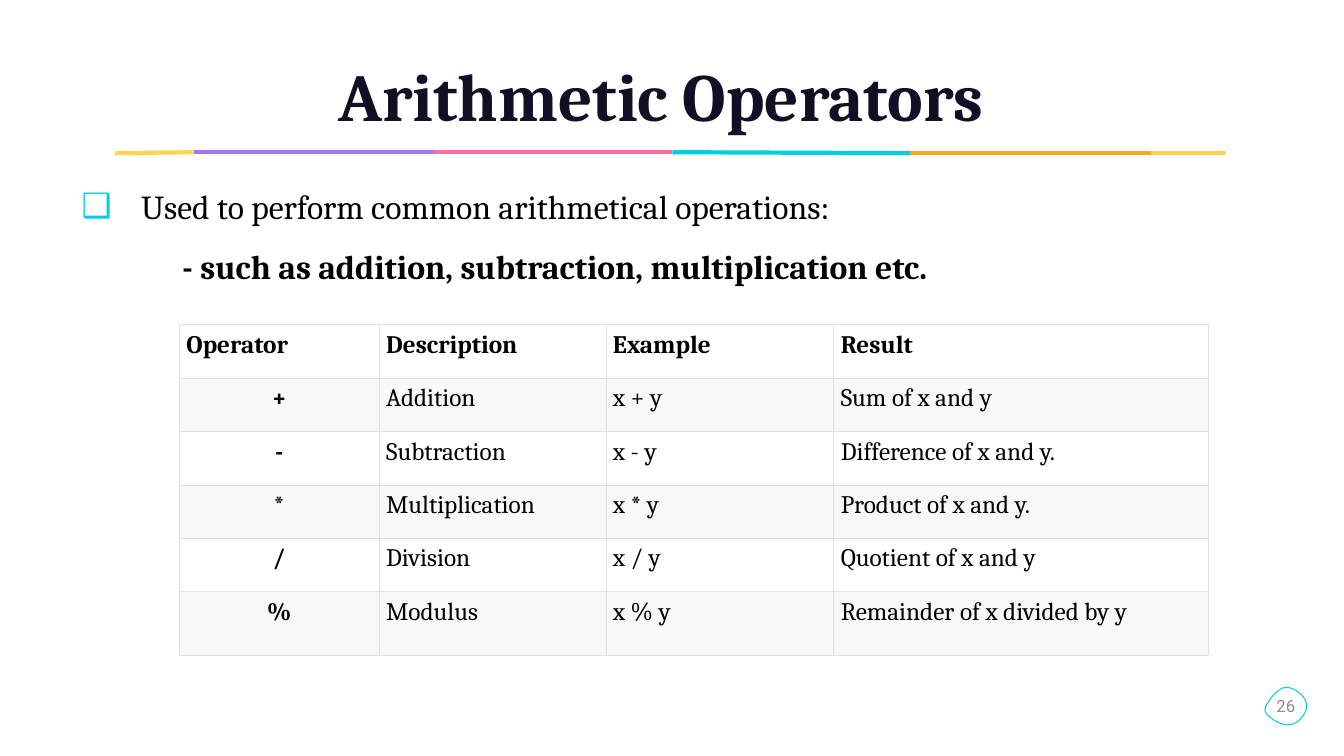
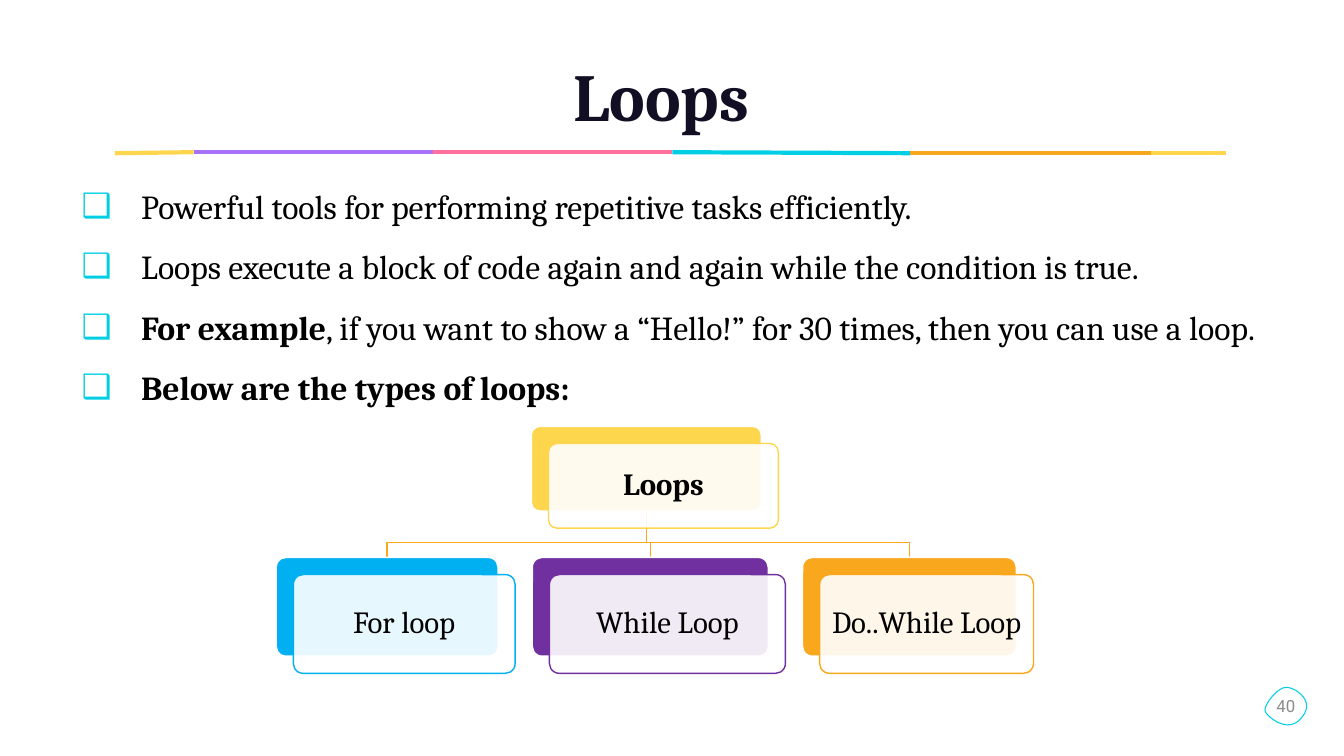
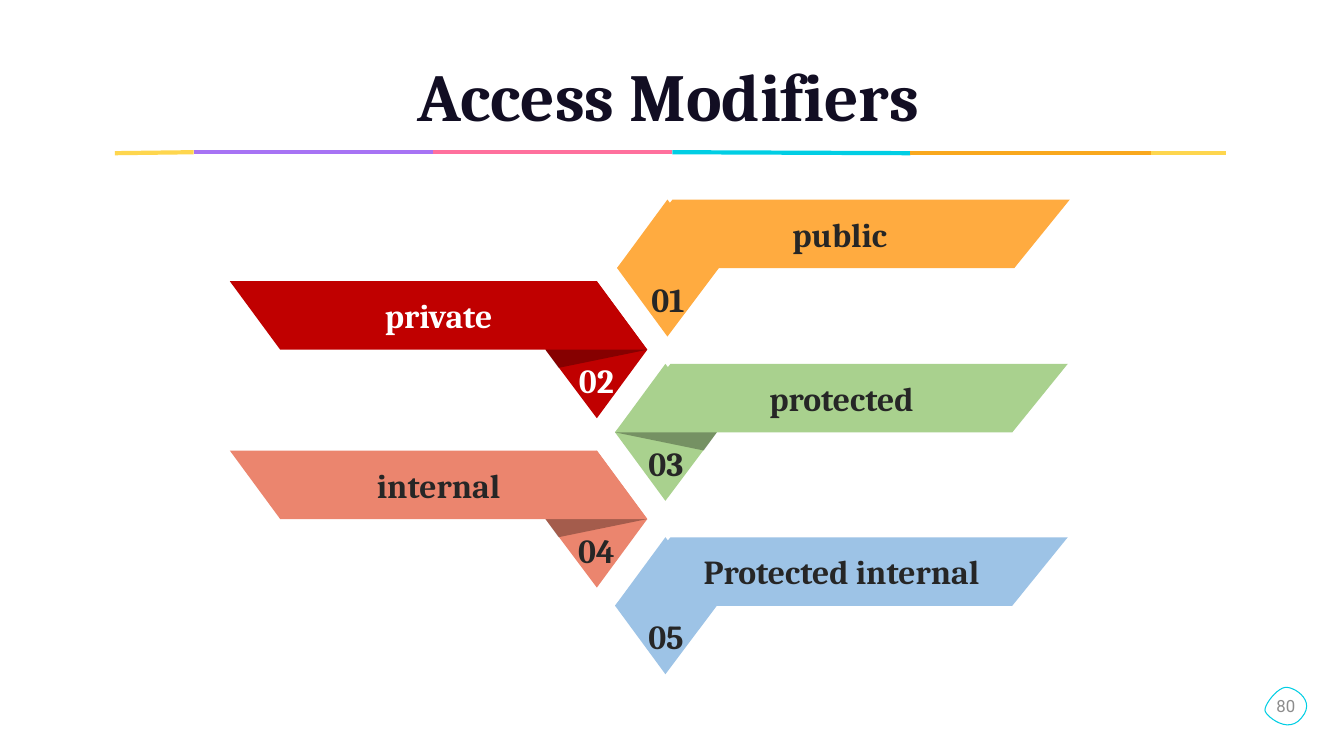
"""Build three C# lesson slides: operators, loops and access modifiers."""
from pptx import Presentation
from pptx.dml.color import RGBColor
from pptx.enum.shapes import MSO_CONNECTOR, MSO_SHAPE
from pptx.enum.text import MSO_ANCHOR, MSO_AUTO_SIZE, PP_ALIGN
from pptx.oxml.ns import qn
from pptx.util import Inches, Pt
from lxml.etree import SubElement

WHITE = RGBColor(0xFF, 0xFF, 0xFF)
BLACK = RGBColor(0x00, 0x00, 0x00)
NAVY = RGBColor(0x12, 0x0E, 0x23)
CHARCOAL = RGBColor(0x26, 0x26, 0x26)
GRAY = RGBColor(0x8C, 0x8C, 0x8C)
BAND = RGBColor(0xF8, 0xF8, 0xF8)
BORDER = RGBColor(0xDE, 0xE2, 0xE6)
YELLOW = RGBColor(0xFE, 0xD6, 0x4E)
VIOLET = RGBColor(0xA7, 0x73, 0xF4)
PINK = RGBColor(0xFF, 0x70, 0x9D)
CYAN = RGBColor(0x00, 0xCE, 0xE4)
ORANGE = RGBColor(0xF9, 0xA8, 0x1D)
BLUE = RGBColor(0x00, 0xB0, 0xF0)
PURPLE = RGBColor(0x70, 0x30, 0xA0)
RED = RGBColor(0xC0, 0x00, 0x00)
AMBER = RGBColor(0xFF, 0xAB, 0x40)
GREEN = RGBColor(0xA9, 0xD1, 0x8E)
CORAL = RGBColor(0xEB, 0x85, 0x6E)
SKY = RGBColor(0x9D, 0xC3, 0xE6)

TITLE_BODY, TITLE_ONLY = 1, 5

RULE_POINTS = [(1.14, 1.52), (1.92, 1.51), (4.29, 1.51), (6.67, 1.51),
               (9.03, 1.52), (11.42, 1.52), (12.16, 1.52)]
RULE_COLORS = [YELLOW, VIOLET, PINK, CYAN, ORANGE, YELLOW]

BADGE_START = (12.77, 6.82)
BADGE_CURVES = [((12.86, 6.83), (13.05, 6.96), (12.91, 7.12)),
                ((12.78, 7.29), (12.57, 7.11), (12.55, 7.06)),
                ((12.52, 7.01), (12.68, 6.8), BADGE_START)]

OPERATORS = [
    ("Operator", "Description", "Example", "Result"),
    ("+", "Addition", "x + y", "Sum of x and y"),
    ("-", "Subtraction", "x - y", "Difference of x and y."),
    ("*", "Multiplication", "x * y", "Product of x and y."),
    ("/", "Division", "x / y", "Quotient of x and y"),
    ("%", "Modulus", "x % y", "Remainder of x divided by y"),
]

LOOP_TYPES = [("For loop", BLUE, 2.74, 2.2, 3.84),
              ("While Loop", PURPLE, 5.28, 2.34, 6.45),
              ("Do..While Loop", ORANGE, 7.96, 2.12, 9.02)]

MODIFIERS = [("01", "public ", AMBER, CHARCOAL, 6.12, 1.98, 1, False),
             ("02", "private", RED, WHITE, 6.42, 2.79, -1, True),
             ("03", "protected", GREEN, CHARCOAL, 6.1, 3.61, 1, True),
             ("04", "internal", CORAL, CHARCOAL, 6.42, 4.47, -1, True),
             ("05", "Protected internal", SKY, CHARCOAL, 6.1, 5.33, 1, False)]


def add_run(p, text, size, color, bold=False, font="Cambria"):
    """Add one formatted run to a paragraph."""
    r = p.add_run()
    r.text = text
    r.font.name, r.font.size, r.font.bold = font, Pt(size), bold
    r.font.color.rgb = color


def set_insets(tf, left, top, right, bottom):
    """Set the inner margins of a text frame in inches."""
    tf.margin_left, tf.margin_top = Inches(left), Inches(top)
    tf.margin_right, tf.margin_bottom = Inches(right), Inches(bottom)


def label(sp, text, size, color, insets, bold=False, spacing=1.0, font="Cambria"):
    """Write one centred line inside a shape."""
    tf = sp.text_frame
    tf.word_wrap = False
    tf.vertical_anchor = MSO_ANCHOR.MIDDLE
    set_insets(tf, *insets)
    p = tf.paragraphs[0]
    p.alignment, p.line_spacing = PP_ALIGN.CENTER, spacing
    add_run(p, text, size, color, bold, font)


def paint(sp, fill=None, line=None, width=1, alpha=None):
    """Set fill, outline and opacity percentage, and drop the shadow."""
    sp.shadow.inherit = False
    if fill is None:
        sp.fill.background()
    else:
        sp.fill.solid()
        sp.fill.fore_color.rgb = fill
    if alpha is not None:
        srgb = sp.element.spPr.find(qn("a:solidFill")).find(qn("a:srgbClr"))
        SubElement(srgb, qn("a:alpha"), val=str(alpha * 1000))
    if line is None:
        sp.line.fill.background()
    else:
        sp.line.color.rgb = line
        sp.line.width = Pt(width)


def outline(slide, points, close=True):
    """Draw a freeform through points given in inches."""
    emu = [(Inches(x), Inches(y)) for x, y in points]
    builder = slide.shapes.build_freeform(*emu[0])
    builder.add_line_segments(emu[1:], close=close)
    return builder.convert_to_shape()


def bezier(start, c1, c2, end, steps=12):
    """Return the points of a cubic curve after its start."""
    def at(t, axis):
        u = 1 - t
        return (u ** 3 * start[axis] + 3 * u * u * t * c1[axis]
                + 3 * u * t * t * c2[axis] + t ** 3 * end[axis])
    return [(at(i / steps, 0), at(i / steps, 1)) for i in range(1, steps + 1)]


def style_master(prs):
    """Place the master title and body."""
    boxes = {1: (0.71, 0.5, 11.84, 0.89), 2: (0.71, 1.59, 12.47, 4.7)}
    for ph, box in zip(prs.slide_master.placeholders, boxes.values()):
        ph.left, ph.top, ph.width, ph.height = map(Inches, box)
        ph.text_frame.auto_size = MSO_AUTO_SIZE.NONE
    prs.slide_master.placeholders[0].text_frame.vertical_anchor = MSO_ANCHOR.BOTTOM


def add_master_rule(prs, slide):
    """Draw the coloured title rule and move it to the master."""
    tree = prs.slide_master.shapes.element
    segments = zip(RULE_POINTS, RULE_POINTS[1:], RULE_COLORS)
    for number, (start, end, color) in enumerate(segments, 20):
        line = slide.shapes.add_connector(
            MSO_CONNECTOR.STRAIGHT, *map(Inches, start + end))
        line.line.color.rgb = color
        line.line.width = Pt(3)
        SubElement(line.element.spPr, qn("a:effectLst"))
        line.element.nvCxnSpPr.cNvPr.id = number
        tree.append(line.element)


def add_slide(prs, layout, title, number):
    """Add a slide with its title and number badge."""
    slide = prs.slides.add_slide(prs.slide_layouts[layout])
    p = slide.shapes.title.text_frame.paragraphs[0]
    p.alignment, p.line_spacing = PP_ALIGN.CENTER, 1.7
    add_run(p, title, 48, NAVY, True)
    points = [BADGE_START]
    for curve in BADGE_CURVES:
        points += bezier(points[-1], *curve)
    badge = outline(slide, points)
    paint(badge, line=CYAN, width=0.75)
    label(badge, str(number), 12, GRAY, (0, 0, 0, 0), font="Roboto")
    return slide


def set_bullet(p, char):
    """Give a paragraph a hanging cyan bullet, or a plain indent without one."""
    pPr = p._p.get_or_add_pPr()
    hang = Inches(0.59) if char else 0
    pPr.set("marL", str(hang or Inches(1)))
    pPr.set("indent", str(-hang))
    if char:
        color = SubElement(pPr, qn("a:buClr"))
        SubElement(color, qn("a:srgbClr"), val=str(CYAN))
        SubElement(pPr, qn("a:buChar"), char=char)
    else:
        SubElement(pPr, qn("a:buNone"))


def fill_body(slide, items):
    """Fill the body with (bullet, runs) items."""
    tf = slide.placeholders[1].text_frame
    for i, (char, runs) in enumerate(items):
        p = tf.add_paragraph() if i else tf.paragraphs[0]
        set_bullet(p, char)
        p.line_spacing, p.space_before = 1.5, Pt(0)
        for text, bold in runs:
            add_run(p, text, 24, BLACK, bold)


def style_cell(cell, text, fill, bold, align):
    """Write a table cell with thin borders on all sides."""
    tcPr = cell._tc.get_or_add_tcPr()
    for side in ("lnL", "lnR", "lnT", "lnB"):
        ln = SubElement(tcPr, qn("a:" + side), w=str(Pt(0.5)))
        solid = SubElement(ln, qn("a:solidFill"))
        SubElement(solid, qn("a:srgbClr"), val=str(BORDER))
    cell.fill.solid()
    cell.fill.fore_color.rgb = fill
    set_insets(cell, 0.07, 0.06, 0.07, 0.06)
    p = cell.text_frame.paragraphs[0]
    p.alignment = align
    add_run(p, text, 18, BLACK, bold)


def add_operator_table(slide):
    """Add the table of arithmetic operators."""
    table = slide.shapes.add_table(
        len(OPERATORS), 4, Inches(1.78), Inches(3.22), Inches(10.2), Inches(3.28)).table
    for column, width in zip(table.columns, (1.98, 2.25, 2.26, 3.71)):
        column.width = Inches(width)
    for row, height in zip(table.rows, [0.53] * 5 + [0.63]):
        row.height = Inches(height)
    for i, texts in enumerate(OPERATORS):
        for j, text in enumerate(texts):
            symbol = i > 0 and j == 0
            style_cell(table.cell(i, j), text, BAND if i % 2 else WHITE,
                       i == 0 or symbol, PP_ALIGN.CENTER if symbol else PP_ALIGN.LEFT)


def add_card(slide, text, color, left, top, width, height, bold=False):
    """Add a coloured card with a translucent labelled card in front."""
    fronts = ((0, color, WHITE, None), (0.17, WHITE, color, 90))
    for shift, fill, line, alpha in fronts:
        sp = slide.shapes.add_shape(
            MSO_SHAPE.ROUNDED_RECTANGLE, Inches(left + shift), Inches(top + shift),
            Inches(width), Inches(height))
        sp.adjustments[0] = 0.1
        paint(sp, fill, line, 1, alpha)
    label(sp, text, 22, BLACK, (0.09,) * 4, bold, 0.9)


def add_loop_tree(slide):
    """Add the tree of loop types."""
    for *_, x in reversed(LOOP_TYPES):
        branch = outline(slide, [(6.41, 5.08), (6.41, 5.38), (x, 5.38), (x, 5.53)], False)
        paint(branch, line=ORANGE)
    add_card(slide, "Loops", YELLOW, 5.27, 4.23, 2.28, 0.84, True)
    for text, color, left, width, _ in LOOP_TYPES:
        add_card(slide, text, color, left, 5.53, width, 0.98)


def add_ribbon(slide, number, text, fill, ink, tip, top, side, folded):
    """Add a folded ribbon running from its tip to the given side."""
    def place(points):
        return outline(slide, [(tip + side * x, top + y) for x, y in points])

    slant, reach = (0.55, 3.94) if side > 0 else (0.5, 3.64)
    diamond = place([(0.5, 0), (1.01, 0.68), (0.5, 1.36), (0, 0.68)])
    paint(diamond, fill)
    label(diamond, number, 24, ink, (0.04, 0.25, 0.04, 0.04), True, 2.0)
    if folded:
        fold = place([(0.5, 0.4), (1.01, 0.68), (0.88, 0.86), (0, 0.68)])
        paint(fold, BLACK, alpha=30)
    band = place([(slant, 0), (0, 0.68), (reach, 0.68), (reach + slant, 0)])
    paint(band, fill)
    label(band, text, 24, ink, (0.04,) * 4, True)


def main():
    """Build and save the deck."""
    prs = Presentation()
    prs.slide_width, prs.slide_height = Inches(13.33), Inches(7.5)
    style_master(prs)

    slide = add_slide(prs, TITLE_BODY, "Arithmetic Operators ", 26)
    add_master_rule(prs, slide)
    fill_body(slide, [
        ("❑", [("Used to perform common arithmetical operations:", False)]),
        (None, [("- such as addition, subtraction, multiplication etc.", True)]),
    ])
    add_operator_table(slide)

    slide = add_slide(prs, TITLE_BODY, "Loops ", 40)
    fill_body(slide, [("❑", runs) for runs in (
        [("Powerful tools for performing repetitive tasks efficiently.", False)],
        [("Loops execute a block of code again and again while the condition is true.",
          False)],
        [("For example", True),
         (", if you want to show a “Hello!” for 30 times, then you can use a loop.", False)],
        [("Below are the types of loops:", True)],
    )])
    add_loop_tree(slide)

    slide = add_slide(prs, TITLE_ONLY, "Access Modifiers", 80)
    for modifier in MODIFIERS:
        add_ribbon(slide, *modifier)

    prs.save("out.pptx")


if __name__ == "__main__":
    main()
